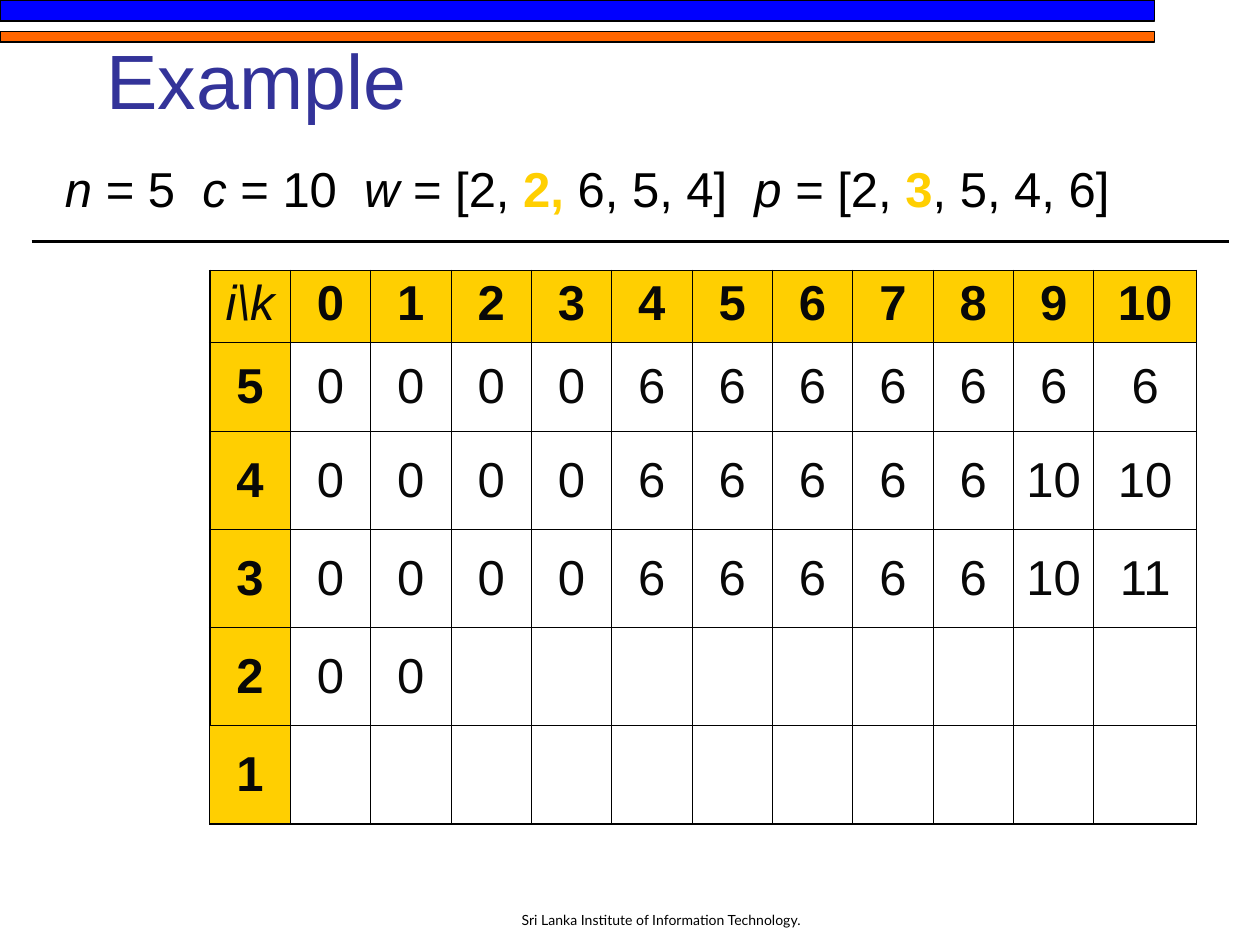
from lxml.etree import SubElement
from pptx import Presentation
from pptx.dml.color import RGBColor
from pptx.enum.shapes import MSO_CONNECTOR, MSO_SHAPE
from pptx.enum.text import MSO_ANCHOR, PP_ALIGN
from pptx.oxml.ns import qn
from pptx.util import Cm, Pt

COLORS = {
    "black": "000000",
    "cell_text": "080808",
    "blue": "0000FF",
    "orange": "FF6600",
    "title": "333399",
    "gold": "FFCF01",
}
THIN, THICK = 0.45, 1.08
COLUMN_WIDTHS = [1.62] * 11 + [2.07]
ROW_HEIGHTS = [1.45, 1.79] + [1.98] * 4
PROFIT_ROWS = [
    ["i\\k", *range(11)],
    [5, 0, 0, 0, 0, 6, 6, 6, 6, 6, 6, 6],
    [4, 0, 0, 0, 0, 6, 6, 6, 6, 6, 10, 10],
    [3, 0, 0, 0, 0, 6, 6, 6, 6, 6, 10, 11],
    [2, 0, 0],
    [1],
]
PROBLEM = [
    ("n ", {"italic": True}),
    ("= 5  ", {}),
    ("c", {"italic": True}),
    (" = 10  ", {}),
    ("w", {"italic": True}),
    (" = [2, ", {}),
    ("2,", {"bold": True, "color": "gold"}),
    (" 6, 5, 4]  ", {}),
    ("p", {"italic": True}),
    (" = [2, ", {}),
    ("3", {"bold": True, "color": "gold"}),
    (", 5, 4, 6]", {}),
]


def rgb(name):
    """Return the named palette colour."""
    return RGBColor.from_string(COLORS[name])


def add_text(para, text, size=28, color="black", font="Arial", bold=False, italic=False):
    """Append a formatted span to a paragraph."""
    span = para.add_run()
    span.text = text
    span.font.name = font
    span.font.size = Pt(size)
    span.font.bold = bold
    span.font.italic = italic
    span.font.color.rgb = rgb(color)


def add_text_box(page, box, anchor, align=PP_ALIGN.LEFT, top_margin=0.13):
    """Add a wrapping text box and return its first paragraph."""
    frame = page.shapes.add_textbox(*map(Cm, box)).text_frame
    frame.word_wrap = True
    frame.vertical_anchor = anchor
    frame.margin_top = Cm(top_margin)
    para = frame.paragraphs[0]
    para.alignment = align
    return para


def add_header_bars(page, box):
    """Draw the blue bar and the orange bar at the top and bottom of the box."""
    left, top, width, height = box
    for color, offset, share in (("blue", 0, 0.5), ("orange", 0.75, 0.25)):
        bar = page.shapes.add_shape(
            MSO_SHAPE.RECTANGLE,
            Cm(left), Cm(top + offset * height), Cm(width), Cm(share * height),
        )
        bar.shadow.inherit = False
        bar.fill.solid()
        bar.fill.fore_color.rgb = rgb(color)
        bar.line.color.rgb = rgb("black")
        bar.line.width = Pt(0.75)


def add_divider(page, box):
    """Draw the rule along the top of the box."""
    left, top, width, _ = box
    divider = page.shapes.add_connector(
        MSO_CONNECTOR.STRAIGHT, Cm(left), Cm(top), Cm(left + width), Cm(top)
    )
    divider.line.color.rgb = rgb("black")
    divider.line.width = Pt(1.5)
    SubElement(divider._element.spPr, qn("a:effectLst"))


def add_title(page, box):
    """Write the slide title."""
    add_text(add_text_box(page, box, MSO_ANCHOR.BOTTOM), "Example", size=44, color="title")


def add_problem(page, box):
    """Write the knapsack parameters on one line."""
    para = add_text_box(page, box, MSO_ANCHOR.TOP, top_margin=0.23)
    for text, style in PROBLEM:
        add_text(para, text, **style)


def add_footer(page, box):
    """Write the institute name."""
    para = add_text_box(page, box, MSO_ANCHOR.BOTTOM, PP_ALIGN.CENTER)
    add_text(para, "Sri Lanka Institute of Information Technology.", size=8, font="Lato")


def set_borders(cell, **widths):
    """Give a cell black borders of the given point widths."""
    properties = cell._tc.get_or_add_tcPr()
    for side, width in widths.items():
        border = SubElement(properties, qn(f"a:ln{side}"), w=str(Pt(width)))
        fill = SubElement(border, qn("a:solidFill"))
        SubElement(fill, qn("a:srgbClr"), val=COLORS["black"])


def add_profit_table(page, box):
    """Build the table of best profits by item and capacity."""
    row_count, column_count = len(ROW_HEIGHTS), len(COLUMN_WIDTHS)
    table = page.shapes.add_table(row_count, column_count, *map(Cm, box)).table
    table.first_row = table.horz_banding = False
    for column, width in zip(table.columns, COLUMN_WIDTHS):
        column.width = Cm(width)
    for row, height in zip(table.rows, ROW_HEIGHTS):
        row.height = Cm(height)
    last_row, last_column = row_count - 1, column_count - 1
    for i, values in enumerate(PROFIT_ROWS):
        for k in range(column_count):
            cell = table.cell(i, k)
            set_borders(
                cell,
                L=THICK if k == 0 and i < last_row else THIN,
                R=THICK if k == last_column else THIN,
                T=THICK if i == 0 else THIN,
                B=THICK if i == last_row else THIN,
            )
            heading = i == 0 or k == 0
            if heading:
                cell.fill.solid()
                cell.fill.fore_color.rgb = rgb("gold")
            else:
                cell.fill.background()
            cell.vertical_anchor = MSO_ANCHOR.TOP if i == 0 else MSO_ANCHOR.MIDDLE
            if k < len(values):
                corner = i == k == 0
                para = cell.text_frame.paragraphs[0]
                para.alignment = PP_ALIGN.CENTER
                add_text(para, str(values[k]), color="cell_text",
                         bold=heading and not corner, italic=corner)


def main():
    """Build the slide and save the deck."""
    deck = Presentation()
    deck.slide_width, deck.slide_height = Cm(25.4), Cm(19.05)
    page = deck.slides.add_slide(deck.slide_layouts[6])
    add_header_bars(page, (0, 0, 23.28, 0.85))
    add_divider(page, (0.64, 4.87, 24.13, 0))
    add_footer(page, (9.31, 17.57, 8.05, 1.27))
    add_title(page, (1.9, 0.53, 21.59, 2.12))
    add_problem(page, (1.06, 2.96, 24.34, 2.33))
    add_profit_table(page, (4.23, 5.45, sum(COLUMN_WIDTHS), sum(ROW_HEIGHTS)))
    deck.save("out.pptx")


if __name__ == "__main__":
    main()
